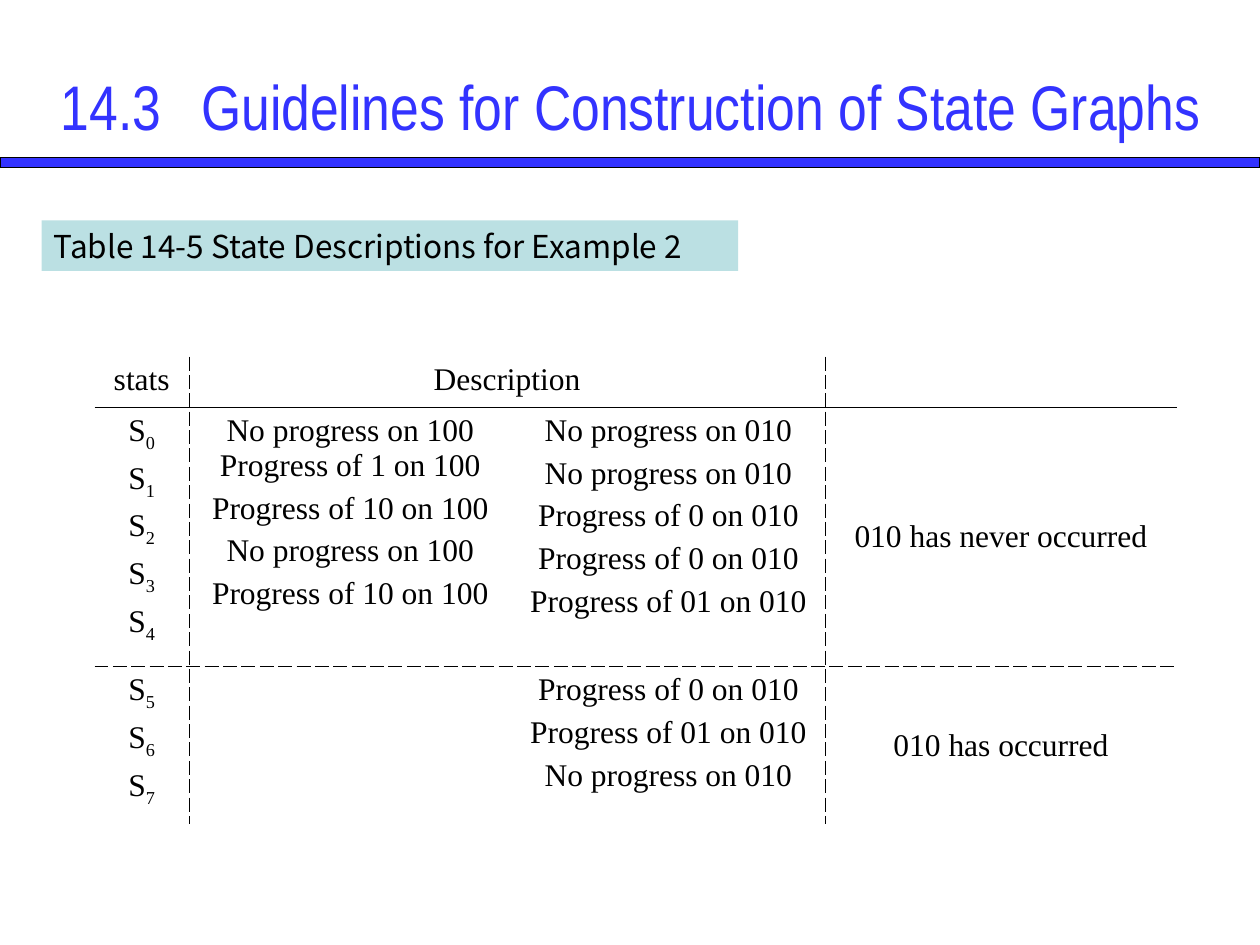
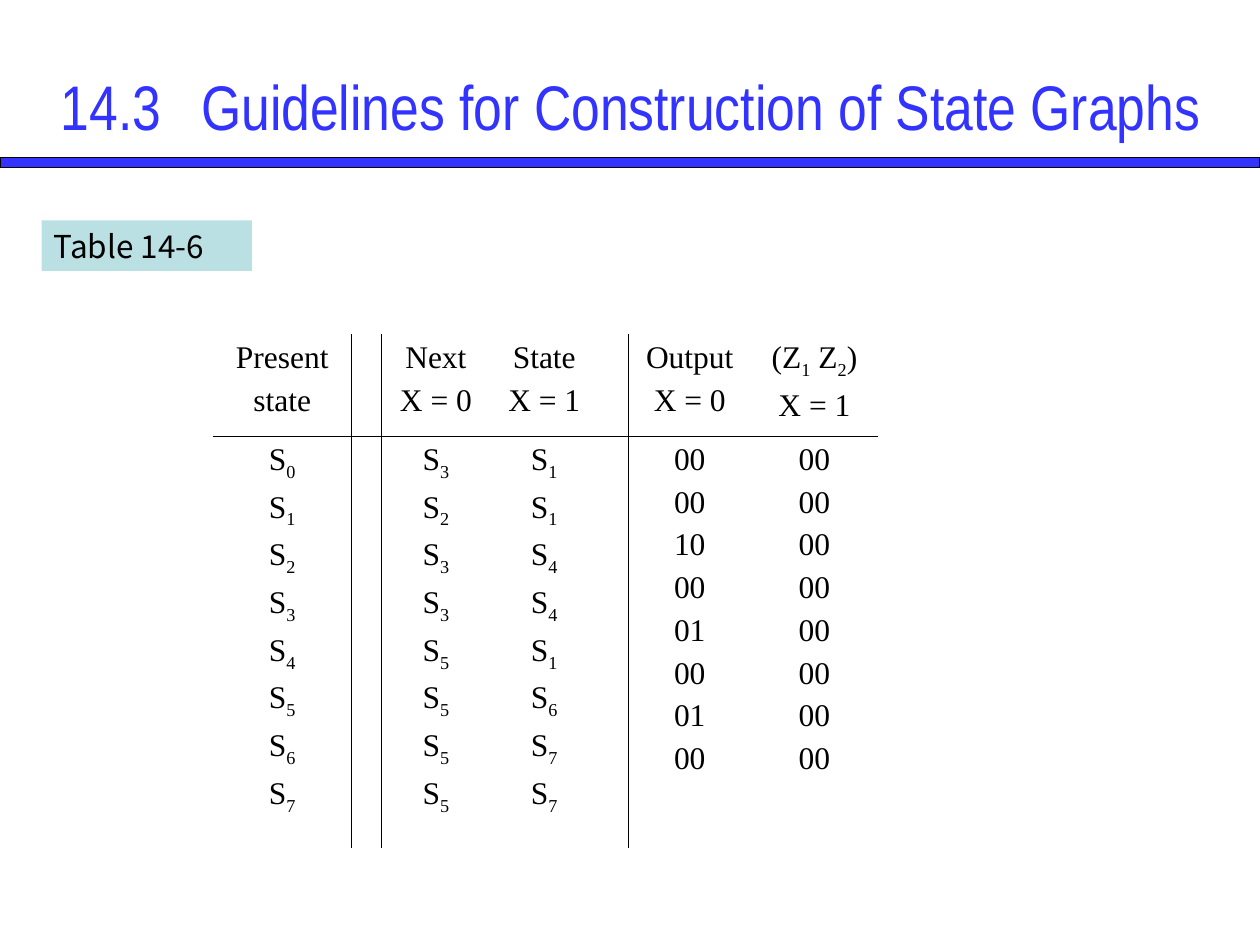
from dataclasses import dataclass

from lxml.etree import SubElement
from pptx import Presentation
from pptx.dml.color import RGBColor as RGB
from pptx.enum.shapes import MSO_SHAPE as SHAPE
from pptx.enum.text import MSO_ANCHOR as ANCHOR, PP_ALIGN as ALIGN
from pptx.oxml.ns import qn
from pptx.util import Inches, Pt


@dataclass(frozen=True)
class Theme:
    blue: RGB = RGB(0x33, 0x33, 0xFF)
    teal: RGB = RGB(0xBB, 0xE0, 0xE3)
    black: RGB = RGB(0, 0, 0)
    title_font: str = "Arial Narrow"
    label_font: str = "Noto Sans CJK KR"
    table_font: str = "Times New Roman"
    title_size: float = 36
    body_size: float = 18
    para_gap: float = 4.5
    band_line: float = 0.75
    rule_width: float = 0.45


TITLE = "14.3\t Guidelines for Construction of State Graphs"
GRID = Inches(0.25)  # 40 columns by 30 rows on a slide


def units(*cells):
    return [round(n * GRID) for n in cells]


class Deck:
    def __init__(self, theme):
        self.theme = theme
        self.prs = Presentation()
        self.prs.slide_width, self.prs.slide_height = units(40, 30)
        self.slide = None

    # Parts that every slide shares
    def new_slide(self, label, label_width):
        self.slide = self.prs.slides.add_slide(self.prs.slide_layouts[6])
        self.band()
        self.title(TITLE)
        self.label(label, label_width)

    def style(self, p, font, size, color):
        for r in p.runs:
            r.font.name, r.font.size = font, Pt(size)
            r.font.color.rgb = color

    def box(self, left, top, width, height, fill):
        sp = self.slide.shapes.add_shape(
            SHAPE.RECTANGLE, *units(left, top, width, height))
        sp.shadow.inherit = False
        sp.fill.solid()
        sp.fill.fore_color.rgb = fill
        sp.line.fill.background()
        return sp

    def band(self):
        sp = self.box(0, 5, 40, 0.32, self.theme.blue)
        sp.line.color.rgb = self.theme.black
        sp.line.width = Pt(self.theme.band_line)

    def title(self, text):
        sp = self.slide.shapes.add_textbox(*units(0.8, 0.84, 38.44, 5))
        tf = sp.text_frame
        tf.word_wrap, tf.vertical_anchor = True, ANCHOR.MIDDLE
        tf.text = text
        p = tf.paragraphs[0]
        p.alignment = ALIGN.CENTER
        tabs = SubElement(p._p.get_or_add_pPr(), qn("a:tabLst"))
        for inch in range(8):
            SubElement(tabs, qn("a:tab"), pos=str(Inches(inch)), algn="l")
        self.style(p, self.theme.title_font, self.theme.title_size,
                   self.theme.blue)

    def label(self, text, width):
        tf = self.box(1.32, 7, width, 1.6, self.theme.teal).text_frame
        tf.word_wrap, tf.vertical_anchor = True, ANCHOR.MIDDLE
        tf.text = text
        p = tf.paragraphs[0]
        p.alignment = ALIGN.LEFT
        self.style(p, self.theme.label_font, self.theme.body_size,
                   self.theme.black)

    # Tables
    def cell_text(self, cell, lines):
        """Fill a cell; the character after an underscore is a subscript."""
        tf = cell.text_frame
        for i, line in enumerate(lines):
            p = tf.add_paragraph() if i else tf.paragraphs[0]
            p.alignment = ALIGN.CENTER
            if i:
                p.space_before = Pt(self.theme.para_gap)
            plain, *marked = line.split("_")
            p.add_run().text = plain
            for part in marked:
                r = p.add_run()
                r.text = part[0]
                r._r.get_or_add_rPr().set("baseline", "-25000")
                if part[1:]:
                    p.add_run().text = part[1:]
            self.style(p, self.theme.table_font, self.theme.body_size,
                       self.theme.black)

    def border(self, cell, side, dash):
        ln = SubElement(cell._tc.get_or_add_tcPr(), qn(f"a:ln{side}"),
                        w=str(Pt(self.theme.rule_width)))
        if dash is None:
            SubElement(ln, qn("a:noFill"))
            return
        fill = SubElement(ln, qn("a:solidFill"))
        SubElement(fill, qn("a:srgbClr"), val=str(self.theme.black))
        SubElement(ln, qn("a:prstDash"), val=dash)

    def table(self, left, top, widths, heights, rows, col_rules, row_rules,
              merges=(), middle=()):
        """Rules map the index of a grid edge to its dash style."""
        frame = self.slide.shapes.add_table(
            len(heights), len(widths),
            *units(left, top, sum(widths), sum(heights)))
        tbl = frame.table
        tbl.first_row = tbl.horz_banding = False
        for col, width in zip(tbl.columns, units(*widths)):
            col.width = width
        for row, height in zip(tbl.rows, units(*heights)):
            row.height = height
        for start, end in merges:
            tbl.cell(*start).merge(tbl.cell(*end))
        for r, row in enumerate(rows):
            for c, lines in enumerate(row):
                cell = tbl.cell(r, c)
                self.cell_text(cell, lines)
                self.border(cell, "L", col_rules.get(c))
                self.border(cell, "R", col_rules.get(c + cell.span_width))
                self.border(cell, "T", row_rules.get(r))
                self.border(cell, "B", row_rules.get(r + 1))
                cell.fill.background()
                if (r, c) in middle:
                    cell.vertical_anchor = ANCHOR.MIDDLE


def states(numbers):
    return [f"S_{n}" for n in numbers]


# Slide 1: state descriptions
def descriptions(deck):
    deck.new_slide("Table 14-5 State Descriptions for Example 2", 22.12)
    rows = [
        [["stats"], ["Description"], [], []],
        [states("01234"),
         ["No progress on 100 Progress of 1 on 100", "Progress of 10 on 100",
          "No progress on 100", "Progress of 10 on 100"],
         ["No progress on 010", "No progress on 010", "Progress of 0 on 010",
          "Progress of 0 on 010", "Progress of 01 on 010"],
         ["010 has never occurred"]],
        [states("567"), [],
         ["Progress of 0 on 010", "Progress of 01 on 010",
          "No progress on 010"],
         ["010 has occurred"]],
    ]
    deck.table(3, 11.32, [3, 10.24, 9.96, 11.16], [1.6, 8.24, 5], rows,
               col_rules={1: "dash", 3: "dash"},
               row_rules={1: "solid", 2: "dash"},
               merges=[((0, 1), (0, 2))], middle=[(1, 3), (2, 3)])


# Slide 2: state transitions and outputs
def transitions(deck):
    deck.new_slide("Table 14-6", 6.68)
    rows = [
        [["Present", "state"], [], ["Next", "X = 0"], ["State", "X = 1"], [],
         ["Output", "X = 0"], ["(Z_1 Z_2)", "X = 1"]],
        [states("01234567"), [], states("32335555"), states("11441677"), [],
         "00 00 10 00 01 00 01 00".split(), ["00"] * 8],
    ]
    deck.table(6.76, 10.6, [4.4, 0.96, 3.44, 3.44, 0.96, 3.88, 4.04],
               [3.24, 13.08], rows,
               col_rules={1: "solid", 2: "solid", 5: "solid"},
               row_rules={1: "solid"})


def main():
    deck = Deck(Theme())
    descriptions(deck)
    transitions(deck)
    deck.prs.save("out.pptx")


if __name__ == "__main__":
    main()
